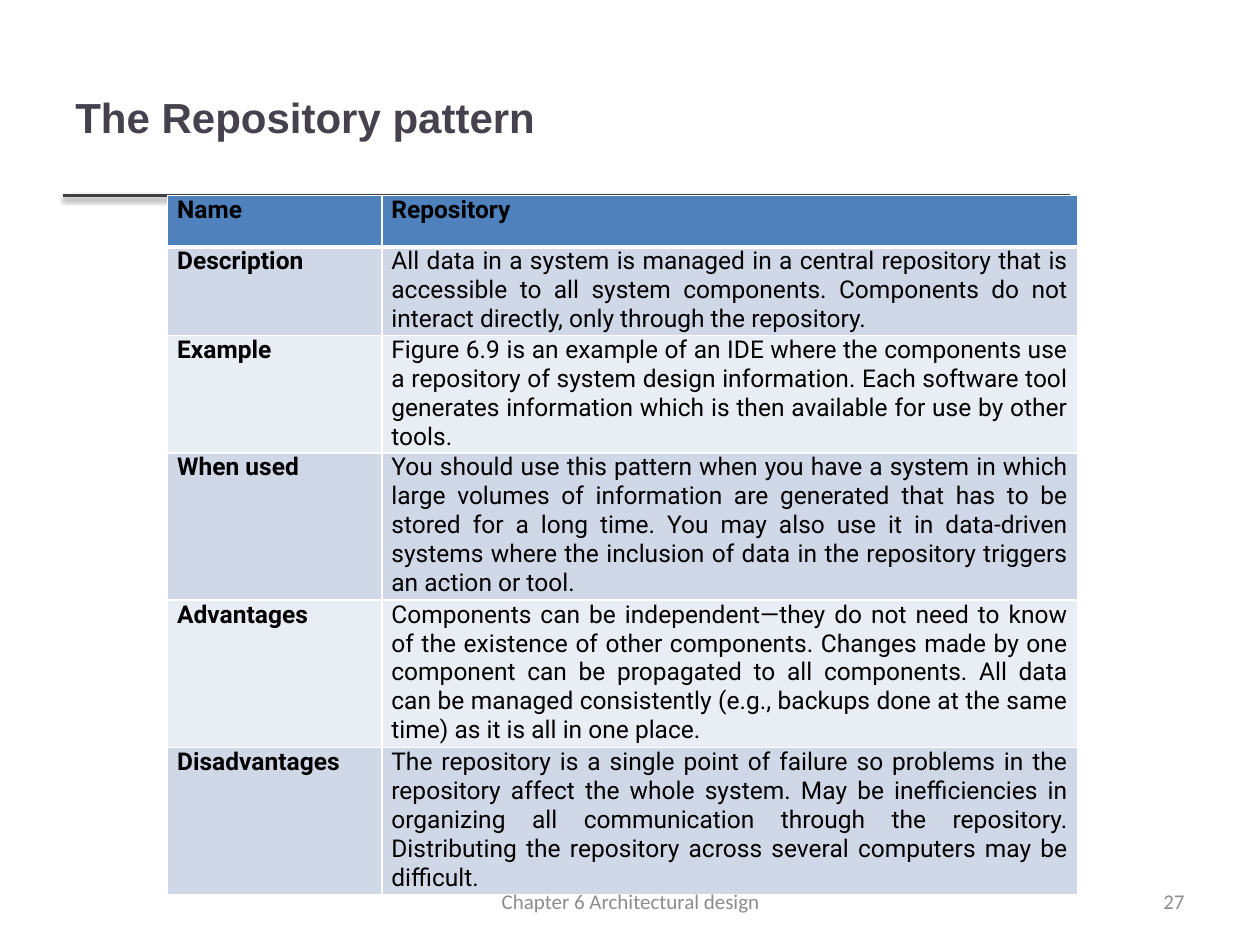
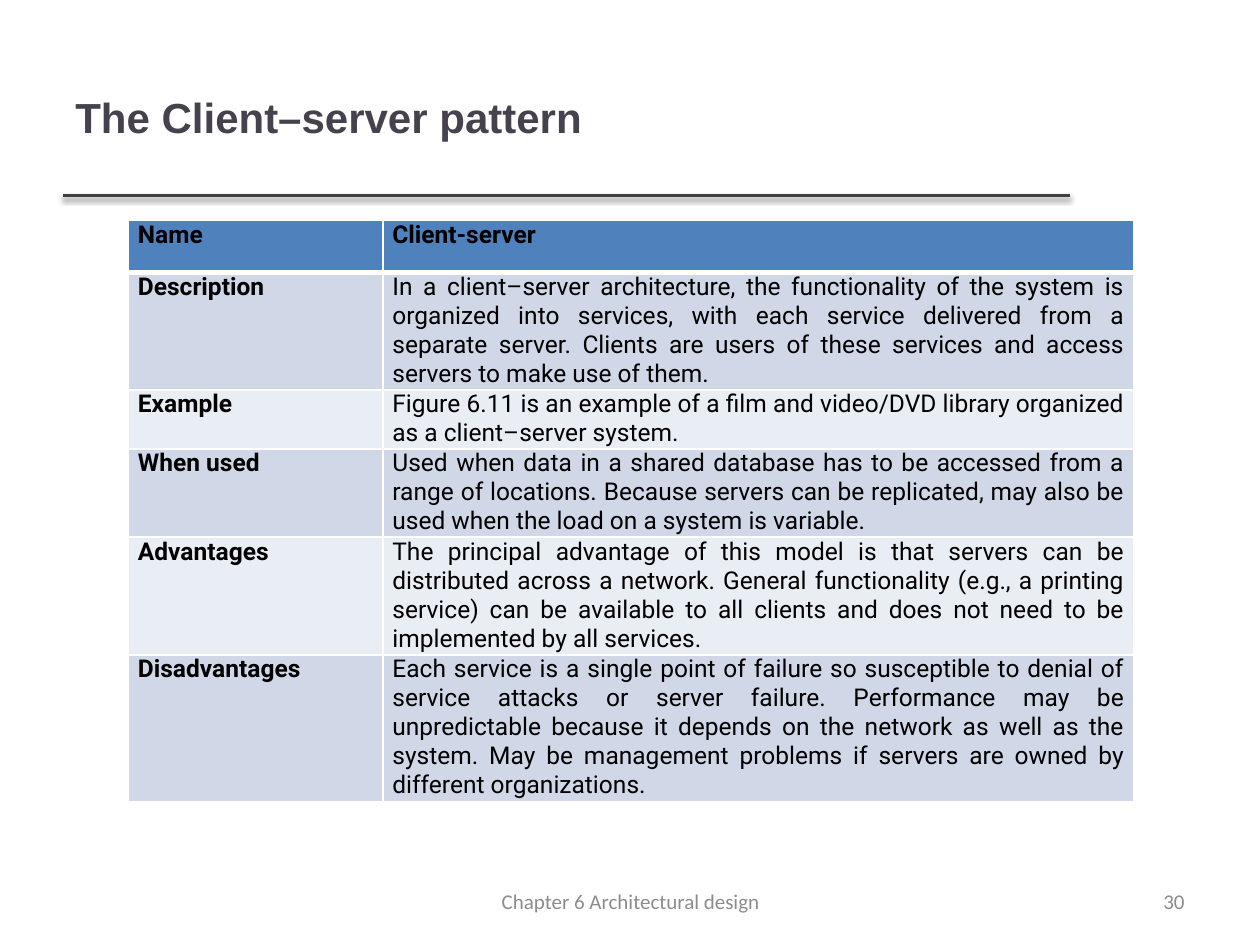
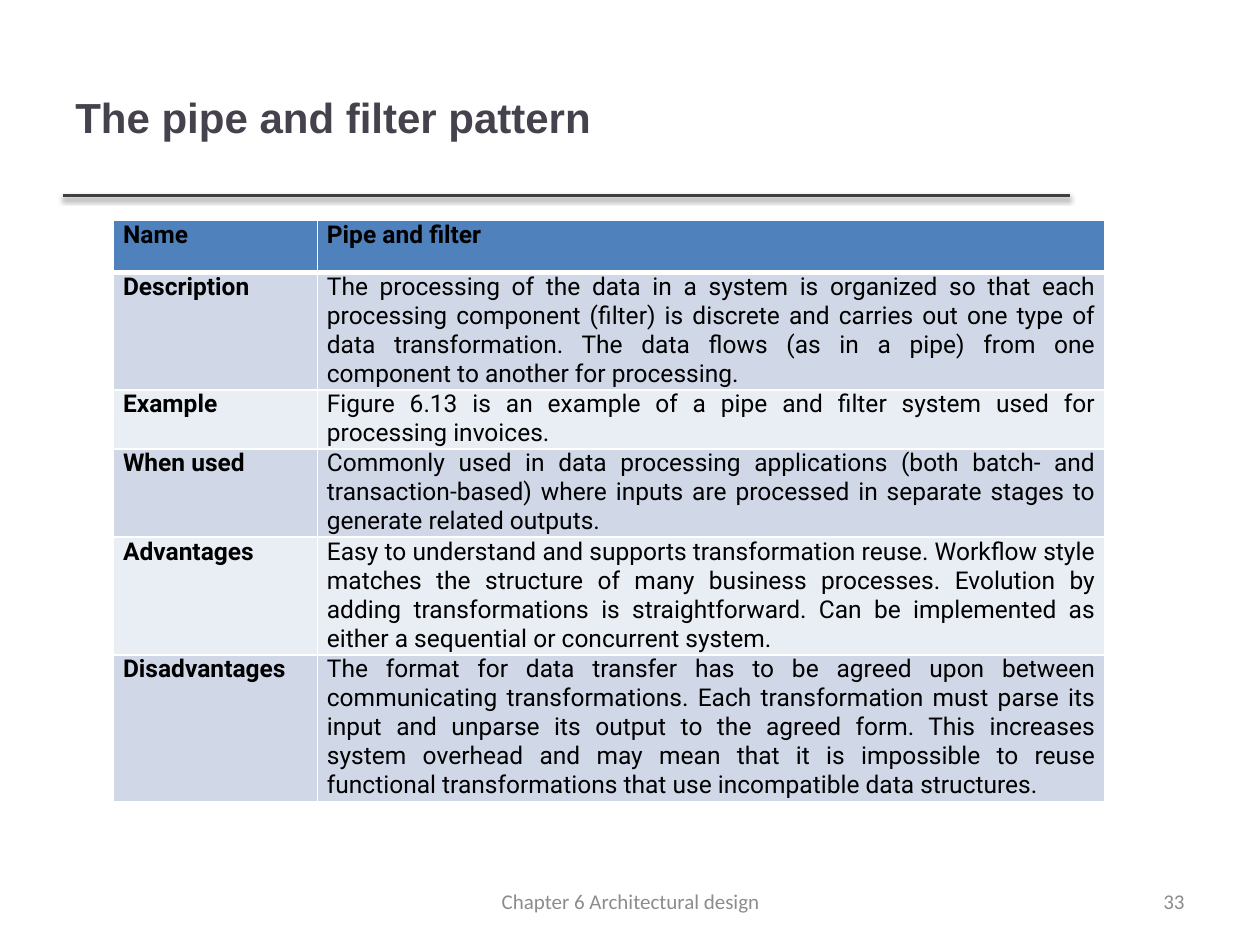
from lxml import etree
from pptx import Presentation
from pptx.dml.color import RGBColor
from pptx.enum import shapes, text
from pptx.oxml import ns
from pptx.util import Cm, Pt

INK, RULE, GREY, BLACK, WHITE = "46424D", "404040", "8C8C8C", "000000", "FFFFFF"
HEAD, BANDS = "4F81BD", ("D0D8E8", "E9EDF4")
FOOTER = "Chapter 6 Architectural design"
LABELS = ("Name", "Description", "Example", "When used", "Advantages", "Disadvantages")
ROW = 1.04  # least row height; rows grow with their text

PAGES = [
    dict(
        title="The Repository pattern", number=27,
        left=3.38, top=3.94, height=14.07, cols=(4.32, 14.02),
        cells=(
            "Repository",
            "All data in a system is managed in a central repository that is accessible to all "
            "system components. Components do not interact directly, only through the repository.",
            "Figure 6.9 is an example of an IDE where the components use a repository of system "
            "design information. Each software tool generates information which is then available "
            "for use by other tools.",
            "You should use this pattern when you have a system in which large volumes of "
            "information are generated that has to be stored for a long time. You may also use it "
            "in data-driven systems where the inclusion of data in the repository triggers an "
            "action or tool.",
            "Components can be independent—they do not need to know of the existence of other "
            "components. Changes made by one component can be propagated to all components. All "
            "data can be managed consistently (e.g., backups done at the same time) as it is all "
            "in one place.",
            "The repository is a single point of failure so problems in the repository affect the "
            "whole system. May be inefficiencies in organizing all communication through the "
            "repository. Distributing the repository across several computers may be difficult.",
        ),
    ),
    dict(
        title="The Client–server pattern", number=30,
        left=2.59, top=4.45, height=11.71, cols=(5.13, 15.14),
        cells=(
            "Client-server",
            "In a client–server architecture, the functionality of the system is organized into "
            "services, with each service delivered from a separate server. Clients are users of "
            "these services and access servers to make use of them.",
            "Figure 6.11 is an example of a film and video/DVD library organized as a "
            "client–server system.",
            "Used when data in a shared database has to be accessed from a range of locations. "
            "Because servers can be replicated, may also be used when the load on a system is "
            "variable.",
            "The principal advantage of this model is that servers can be distributed across a "
            "network. General functionality (e.g., a printing service) can be available to all "
            "clients and does not need to be implemented by all services.",
            "Each service is a single point of failure so susceptible to denial of service attacks "
            "or server failure. Performance may be unpredictable because it depends on the network "
            "as well as the system. May be management problems if servers are owned by different "
            "organizations.",
        ),
    ),
    dict(
        title="The pipe and filter pattern", number=33,
        left=2.29, top=4.45, height=11.71, cols=(4.11, 15.88),
        cells=(
            "Pipe and filter",
            "The processing of the data in a system is organized so that each processing component "
            "(filter) is discrete and carries out one type of data transformation. The data flows "
            "(as in a pipe) from one component to another for processing.",
            "Figure 6.13 is an example of a pipe and filter system used for processing invoices.",
            "Commonly used in data processing applications (both batch- and transaction-based) "
            "where inputs are processed in separate stages to generate related outputs.",
            "Easy to understand and supports transformation reuse. Workflow style matches the "
            "structure of many business processes. Evolution by adding transformations is "
            "straightforward. Can be implemented as either a sequential or concurrent system.",
            "The format for data transfer has to be agreed upon between communicating "
            "transformations. Each transformation must parse its input and unparse its output to "
            "the agreed form. This increases system overhead and may mean that it is impossible to "
            "reuse functional transformations that use incompatible data structures.",
        ),
    ),
]


def rgb(code):
    return RGBColor.from_string(code)


def add(parent, tag, **attrs):
    """Append an XML child such as a:ln and return it."""
    child = etree.SubElement(parent, ns.qn(tag))
    for key, value in attrs.items():
        child.set(key, str(value))
    return child


def style(par, font, size, color, bold, align):
    par.alignment = align
    par.font.name, par.font.size, par.font.bold = font, Pt(size), bold
    par.font.color.rgb = rgb(color)


def write(slide, box, words, font, size, color, bold=False, align=text.PP_ALIGN.LEFT):
    frame = slide.shapes.add_textbox(*map(Cm, box)).text_frame
    frame.word_wrap = True
    frame.vertical_anchor = text.MSO_ANCHOR.MIDDLE
    frame.text = words
    style(frame.paragraphs[0], font, size, color, bold, align)


def rule(slide):
    """Draw the shadowed line below the title."""
    line = slide.shapes.add_connector(
        shapes.MSO_CONNECTOR.STRAIGHT, Cm(1.27), Cm(3.94), Cm(21.56), Cm(3.94))
    line.line.color.rgb = rgb(RULE)
    line.line.width = Pt(2)
    effects = add(line._element.spPr, "a:effectLst")
    shadow = add(effects, "a:outerShdw", blurRad=Pt(3.1), dist=Pt(1.6),
                 dir=90 * 60000, rotWithShape=0)
    add(add(shadow, "a:srgbClr", val=BLACK), "a:alpha", val=38000)


def border(cell, row):
    """Edge a cell in white, heavier between the head and the body."""
    props = cell._tc.get_or_add_tcPr()
    widths = dict(L=1, R=1, T=3 if row == 1 else 1, B=3 if row == 0 else 1)
    for side, width in widths.items():
        edge = add(props, f"a:ln{side}", w=Pt(width))
        add(add(edge, "a:solidFill"), "a:srgbClr", val=WHITE)


def fill(cell, words, row, bold):
    border(cell, row)
    cell.fill.solid()
    cell.fill.fore_color.rgb = rgb(BANDS[(row - 1) % 2] if row else HEAD)
    cell.margin_left = cell.margin_right = Cm(0.19)
    cell.margin_top = cell.margin_bottom = 0
    cell.text = words
    style(cell.text_frame.paragraphs[0], "Roboto", 14, BLACK, bold, text.PP_ALIGN.JUSTIFY)


def grid(slide, page):
    size = page["left"], page["top"], sum(page["cols"]), page["height"]
    table = slide.shapes.add_table(len(LABELS), 2, *map(Cm, size)).table
    for col, width in zip(table.columns, page["cols"]):
        col.width = Cm(width)
    for row, pair in enumerate(zip(LABELS, page["cells"])):
        table.rows[row].height = Cm(ROW)
        for col, words in enumerate(pair):
            fill(table.cell(row, col), words, row, bold=row == 0 or col == 0)
    # Changing rows shrinks nothing by itself: the frame keeps the full height.


def main():
    deck = Presentation()
    deck.slide_width, deck.slide_height = Cm(25.4), Cm(19.05)
    for page in PAGES:
        slide = deck.slides.add_slide(deck.slide_layouts[6])
        rule(slide)
        write(slide, (1.27, 0.76, 20.27, 3.18), page["title"], "Arial", 24, INK, bold=True)
        grid(slide, page)
        write(slide, (18.21, 17.65, 5.92, 1.02), str(page["number"]), "Calibri", 12, GREY,
              align=text.PP_ALIGN.RIGHT)
        write(slide, (8.69, 17.65, 8.05, 1.02), FOOTER, "Calibri", 12, GREY,
              align=text.PP_ALIGN.CENTER)
    deck.save("out.pptx")


if __name__ == "__main__":
    main()
